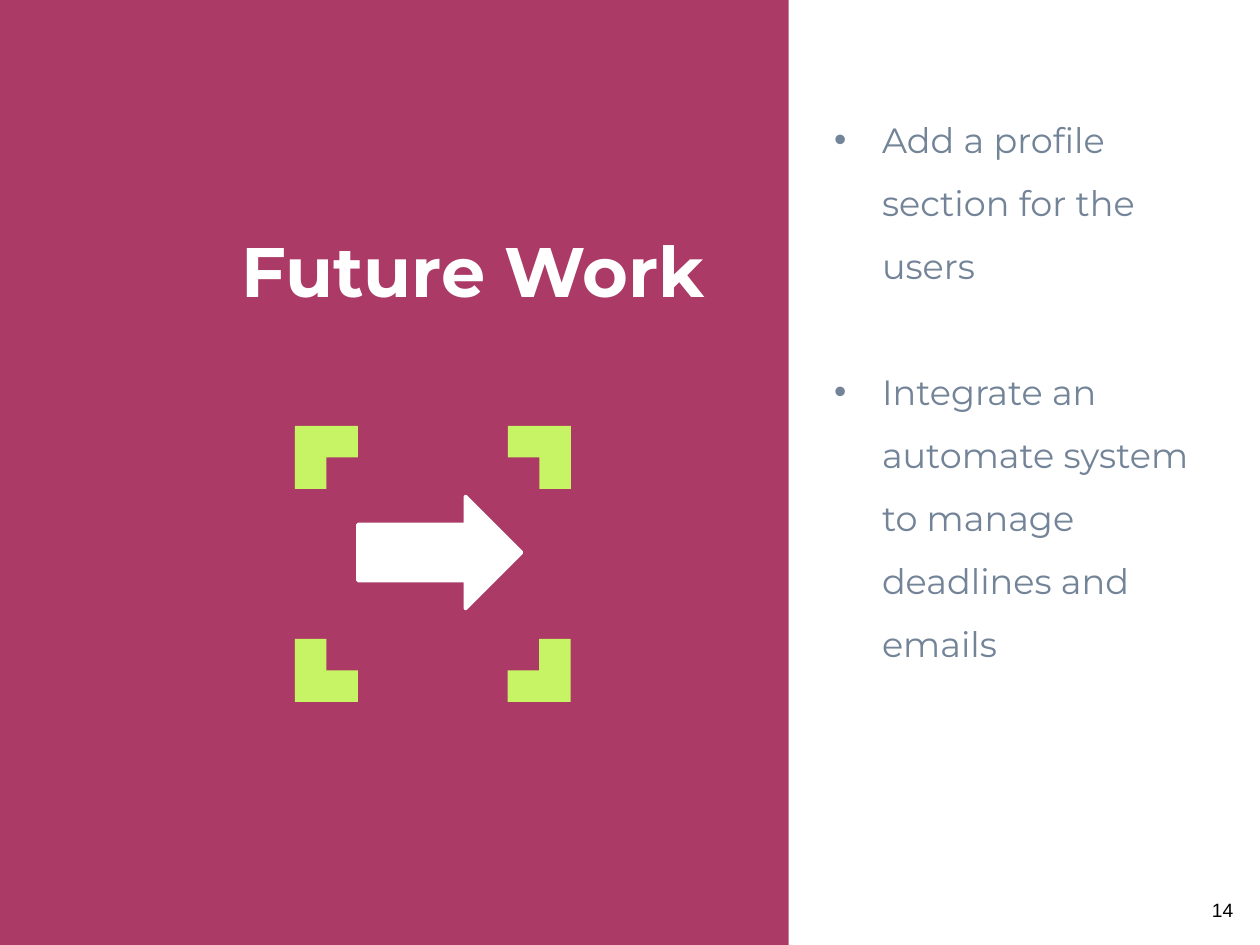
from dataclasses import dataclass

from lxml import etree
from pptx import Presentation
from pptx import util as u
from pptx.dml.color import RGBColor
from pptx.enum import shapes, text
from pptx.oxml.ns import qn

Inches, Pt = u.Inches, u.Pt


@dataclass(frozen=True)
class Theme:
    berry: str = "AB3B66"
    lime: str = "C7F464"
    white: str = "FFFFFF"
    slate: str = "738498"
    black: str = "000000"
    font: str = "Montserrat"
    number_font: str = "Arial"
    title_size: float = 40
    body_size: float = 20
    number_size: float = 11


class SlideBuilder:
    def __init__(self, prs, theme):
        self.theme = theme
        self.s = prs.slides.add_slide(prs.slide_layouts[0])

    def style(self, p, font, size, color, bold=False):
        for r in p.runs:
            r.font.name, r.font.size, r.font.bold = font, Pt(size), bold
            r.font.color.rgb = RGBColor.from_string(color)

    def shape(self, kind, x, y, w, h, color, rotation=0, line=None):
        sp = self.s.shapes.add_shape(kind, *map(Inches, (x, y, w, h)))
        sp.shadow.inherit = False
        sp.fill.solid()
        sp.fill.fore_color.rgb = RGBColor.from_string(color)
        sp.rotation = rotation
        if line:
            sp.line.color.rgb = RGBColor.from_string(color)
            sp.line.width = Pt(line)
        else:
            sp.line.fill.background()
        return sp

    def panel(self, x, w, color):
        """Full-height panel placed behind everything drawn so far."""
        sp = self.shape(shapes.MSO_SHAPE.RECTANGLE, x, 0, w, 7.5, color)
        sp.element.getparent().insert(2, sp.element)

    def fill_placeholder(self, sp, content, x, y, w, h, anchor):
        sp.left, sp.top, sp.width, sp.height = map(Inches, (x, y, w, h))
        tf = sp.text_frame
        tf.text = content
        tf.word_wrap = True
        tf.auto_size = text.MSO_AUTO_SIZE.NONE
        tf.vertical_anchor = anchor
        tf.margin_left = tf.margin_right = tf.margin_top = tf.margin_bottom = Inches(0.1)
        return tf

    def title(self, content, x, y, w, h):
        tf = self.fill_placeholder(self.s.shapes.title, content, x, y, w, h,
                                   text.MSO_ANCHOR.BOTTOM)
        p = tf.paragraphs[0]
        p.alignment = text.PP_ALIGN.RIGHT
        t = self.theme
        self.style(p, t.font, t.title_size, t.white, bold=True)

    def bullets(self, items, x, y, w, h, gap):
        tf = self.fill_placeholder(self.s.placeholders[1], "\n".join(items),
                                   x, y, w, h, text.MSO_ANCHOR.TOP)
        t = self.theme
        for i, p in enumerate(tf.paragraphs):
            p.alignment = text.PP_ALIGN.LEFT
            p.line_spacing = 1.5
            p.space_before = Pt(gap if i else 0)
            pPr = p._p.get_or_add_pPr()
            pPr.set("marL", str(Inches(0.38)))
            pPr.set("indent", str(Inches(-0.38)))
            color = etree.SubElement(pPr, qn("a:buClr"))
            etree.SubElement(color, qn("a:srgbClr"), val=t.slate)
            etree.SubElement(pPr, qn("a:buFont"), typeface=t.number_font)
            etree.SubElement(pPr, qn("a:buChar"), char="•")
            self.style(p, t.font, t.body_size, t.slate)

    def number(self, content, x, y, w, h):
        tf = self.s.shapes.add_textbox(*map(Inches, (x, y, w, h))).text_frame
        tf.text = content
        tf.word_wrap = True
        t = self.theme
        self.style(tf.paragraphs[0], t.number_font, t.number_size, t.black)


def main():
    prs = Presentation()
    prs.slide_width, prs.slide_height = Inches(10), Inches(7.5)
    t = Theme()
    b = SlideBuilder(prs, t)

    # Background panels, the berry one on top of the white one
    b.panel(0, 6.26, t.berry)
    b.panel(6.21, 3.79, t.white)

    # Title and list
    b.title("Future Work", 0.76, 0.48, 4.93, 2.09)
    b.bullets(["Add a profile section for the users",
               "Integrate an automate system to manage deadlines and emails"],
              6.52, 0.67, 3.31, 5.7, gap=36)

    # Frame corners around the arrow
    left, top, step = 2.34, 3.38, 1.69
    for col, row, rotation in ((0, 1, 0), (1, 1, 270), (0, 0, 90), (1, 0, 180)):
        b.shape(shapes.MSO_SHAPE.CORNER, left + col * step, top + row * step,
                0.5, 0.5, t.lime, rotation)
    b.shape(shapes.MSO_SHAPE.RIGHT_ARROW, 2.84, 3.94, 1.3, 0.89, t.white, line=2)

    # Slide number
    b.number("14", 9.52, 7.08, 0.48, 0.29)

    prs.save("out.pptx")


if __name__ == "__main__":
    main()
